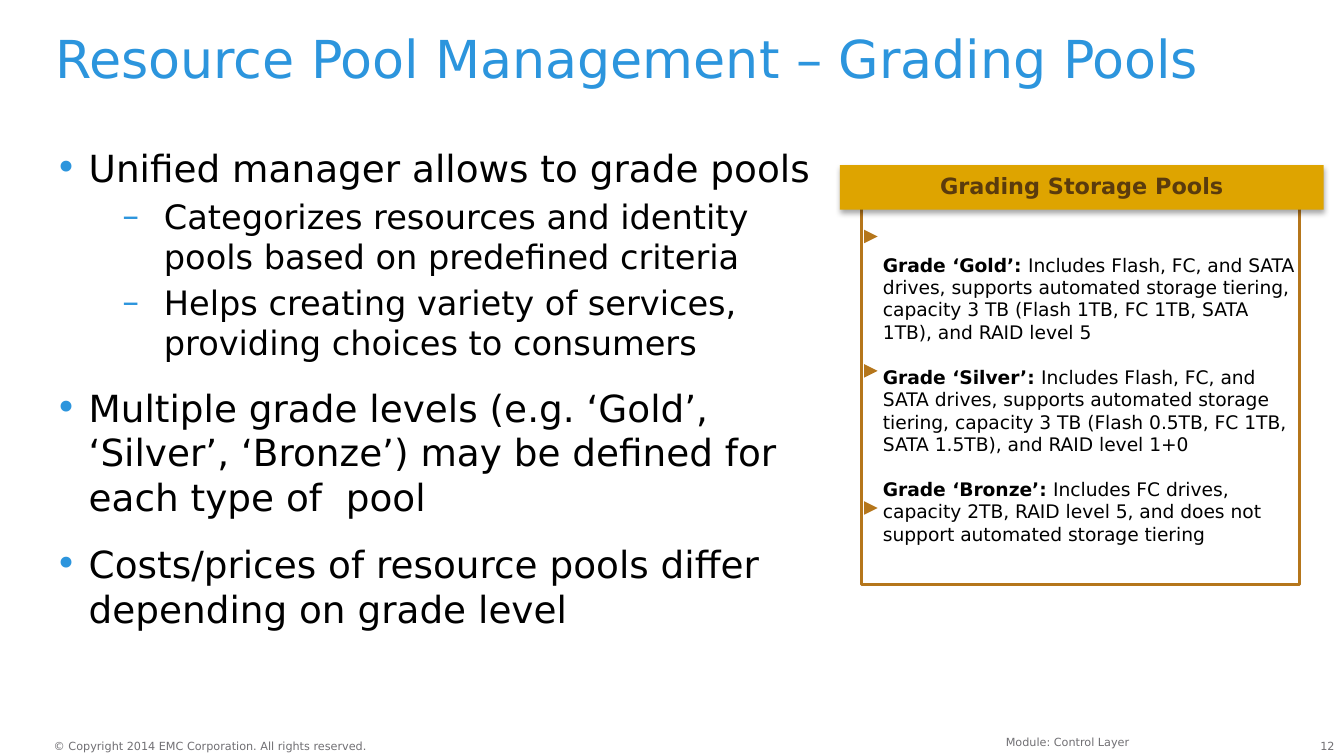
from dataclasses import dataclass

from lxml import etree
from pptx import Presentation
from pptx import util as u
from pptx.dml import color as c
from pptx.enum import shapes, text
from pptx.oxml import ns


@dataclass(frozen=True)
class Theme:
    font: str = "DejaVu Sans"
    blue: str = "2C95DD"
    black: str = "000000"
    white: str = "FFFFFF"
    grey: str = "717074"
    gold: str = "DEA400"
    bronze: str = "B5761B"
    brown: str = "5A3B0D"
    title: int = 28
    point: int = 20
    subpoint: int = 18
    header: int = 12
    grade: int = 10
    footer: int = 6


@dataclass(frozen=True)
class Box:
    left: float
    top: float
    width: float
    height: float

    def lengths(self) -> tuple:
        return tuple(u.Inches(v) for v in (self.left, self.top, self.width, self.height))


@dataclass(frozen=True)
class Level:
    bullet: str
    size: int
    margin: float
    hanging: float
    before: int


@dataclass(frozen=True)
class Point:
    wording: str
    depth: int = 0


@dataclass(frozen=True)
class Grade:
    name: str
    details: str
    marker_top: float


@dataclass(frozen=True)
class Label:
    wording: str
    box: Box
    size: int
    color: str
    align: text.PP_ALIGN = text.PP_ALIGN.LEFT
    insets: tuple = (0, 0, 0, 0)
    wrap: bool = True
    line_spacing: float = 1.0


THEME = Theme()
LEVELS = (
    Level("•", THEME.point, 0.25, 0.25, 12),
    Level("–", THEME.subpoint, 0.81, 0.31, 3),
)
POINTS = (
    Point("Unified manager allows to grade pools"),
    Point("Categorizes resources and identity pools based on predefined criteria", 1),
    Point("Helps creating variety of services, providing choices to consumers", 1),
    Point("Multiple grade levels (e.g. ‘Gold’, ‘Silver’, ‘Bronze’) may be defined for each type of  pool"),
    Point("Costs/prices of resource pools differ depending on grade level"),
)
GRADES = (
    Grade("Gold", "Includes Flash, FC, and SATA drives, supports automated storage tiering, "
          "capacity 3 TB (Flash 1TB, FC 1TB, SATA 1TB), and RAID level 5", 1.71),
    Grade("Silver", "Includes Flash, FC, and SATA drives, supports automated storage tiering, "
          "capacity 3 TB (Flash 0.5TB, FC 1TB, SATA 1.5TB), and RAID level 1+0", 2.71),
    Grade("Bronze", "Includes FC drives, capacity 2TB, RAID level 5, and does not support "
          "automated storage tiering", 3.73),
)
LABELS = (
    Label("12", Box(9.62, 5.5, 0.31, 0.1), THEME.footer, THEME.grey, text.PP_ALIGN.RIGHT),
    Label("© Copyright 2014 EMC Corporation. All rights reserved.",
          Box(0.4, 5.5, 2.37, 0.1), THEME.footer, THEME.grey, wrap=False),
    Label("Resource Pool Management – Grading Pools", Box(0.41, 0.25, 9.25, 0.5),
          THEME.title, THEME.blue, line_spacing=0.9),
    Label("Module: Control Layer", Box(2.83, 5.42, 5.67, 0.15), THEME.footer, THEME.grey,
          text.PP_ALIGN.RIGHT, (0.1, 0.05, 0.1, 0.05)),
)


def prepare_frame(frame, insets: tuple, anchor=text.MSO_ANCHOR.TOP, wrap: bool = True) -> None:
    for side, inset in zip(("left", "top", "right", "bottom"), insets):
        setattr(frame, f"margin_{side}", u.Inches(inset))
    frame.vertical_anchor = anchor
    frame.word_wrap = wrap


def add_run(paragraph, wording: str, size: int, color: str, bold: bool = False) -> None:
    run = paragraph.add_run()
    run.text = wording
    for name, value in {"name": THEME.font, "size": u.Pt(size), "bold": bold}.items():
        setattr(run.font, name, value)
    run.font.color.rgb = c.RGBColor.from_string(color)


def next_paragraph(frame, index: int, before: float):
    """Return the first paragraph, or a new one set apart by the given points."""
    if index == 0:
        return frame.paragraphs[0]
    paragraph = frame.add_paragraph()
    paragraph.space_before = u.Pt(before)
    return paragraph


def add_bullet(paragraph, level: Level) -> None:
    properties = paragraph._p.get_or_add_pPr()
    properties.set("marL", str(u.Inches(level.margin)))
    properties.set("indent", str(-u.Inches(level.hanging)))
    color = etree.SubElement(properties, ns.qn("a:buClr"))
    etree.SubElement(color, ns.qn("a:srgbClr"), val=THEME.blue)
    etree.SubElement(properties, ns.qn("a:buFont"), typeface=THEME.font)
    etree.SubElement(properties, ns.qn("a:buChar"), char=level.bullet)


def add_label(slide, label: Label) -> None:
    frame = slide.shapes.add_textbox(*label.box.lengths()).text_frame
    prepare_frame(frame, label.insets, wrap=label.wrap)
    paragraph = frame.paragraphs[0]
    paragraph.alignment = label.align
    paragraph.line_spacing = label.line_spacing
    add_run(paragraph, label.wording, label.size, label.color)


def add_points(slide, box: Box) -> None:
    frame = slide.shapes.add_textbox(*box.lengths()).text_frame
    prepare_frame(frame, (0, 0, 0, 0))
    for index, point in enumerate(POINTS):
        level = LEVELS[point.depth]
        paragraph = next_paragraph(frame, index, level.before)
        paragraph.level = point.depth
        add_bullet(paragraph, level)
        add_run(paragraph, point.wording, level.size, THEME.black)


def add_filled(slide, kind: shapes.MSO_SHAPE, box: Box, fill: str):
    shape = slide.shapes.add_shape(kind, *box.lengths())
    shape.shadow.inherit = False
    shape.fill.solid()
    shape.fill.fore_color.rgb = c.RGBColor.from_string(fill)
    shape.line.fill.background()
    return shape


def add_drop_shadow(shape) -> None:
    effects = shape._element.spPr.find(ns.qn("a:effectLst"))
    shadow = etree.SubElement(effects, ns.qn("a:outerShdw"), blurRad=str(u.Pt(3.1)),
                              dist=str(u.Pt(1.8)), dir="5400000", rotWithShape="0")
    color = etree.SubElement(shadow, ns.qn("a:srgbClr"), val=THEME.black)
    etree.SubElement(color, ns.qn("a:alpha"), val="35000")


def add_grading_panel(slide) -> None:
    panel = add_filled(slide, shapes.MSO_SHAPE.RECTANGLE, Box(6.41, 1.31, 3.26, 3.04), THEME.white)
    panel.line.color.rgb = c.RGBColor.from_string(THEME.bronze)
    panel.line.width = u.Pt(2)

    header = add_filled(slide, shapes.MSO_SHAPE.RECTANGLE, Box(6.25, 1.23, 3.6, 0.33), THEME.gold)
    add_drop_shadow(header)
    prepare_frame(header.text_frame, (0.11, 0, 0.11, 0), text.MSO_ANCHOR.MIDDLE)
    heading = header.text_frame.paragraphs[0]
    heading.alignment = text.PP_ALIGN.CENTER
    heading.line_spacing = 0.9
    add_run(heading, "Grading Storage Pools", THEME.header, THEME.brown, bold=True)

    grades = slide.shapes.add_textbox(*Box(6.24, 1.23, 3.76, 3.35).lengths()).text_frame
    prepare_frame(grades, (0.33, 0.25, 0.33, 0.12), text.MSO_ANCHOR.MIDDLE)
    for index, grade in enumerate(GRADES):
        paragraph = next_paragraph(grades, index, before=12)
        add_run(paragraph, f"Grade ‘{grade.name}’: ", THEME.grade, THEME.black, bold=True)
        add_run(paragraph, grade.details, THEME.grade, THEME.black)
        marker = add_filled(slide, shapes.MSO_SHAPE.ISOSCELES_TRIANGLE,
                            Box(6.43, grade.marker_top, 0.1, 0.1), THEME.bronze)
        marker.rotation = 90


def main() -> None:
    deck = Presentation()
    deck.slide_width = u.Inches(10)
    deck.slide_height = deck.slide_width * 9 // 16
    slide = deck.slides.add_slide(deck.slide_layouts[6])
    for label in LABELS:
        add_label(slide, label)
    add_points(slide, Box(0.41, 1.08, 5.75, 4.23))
    add_grading_panel(slide)
    deck.save("out.pptx")


if __name__ == "__main__":
    main()
